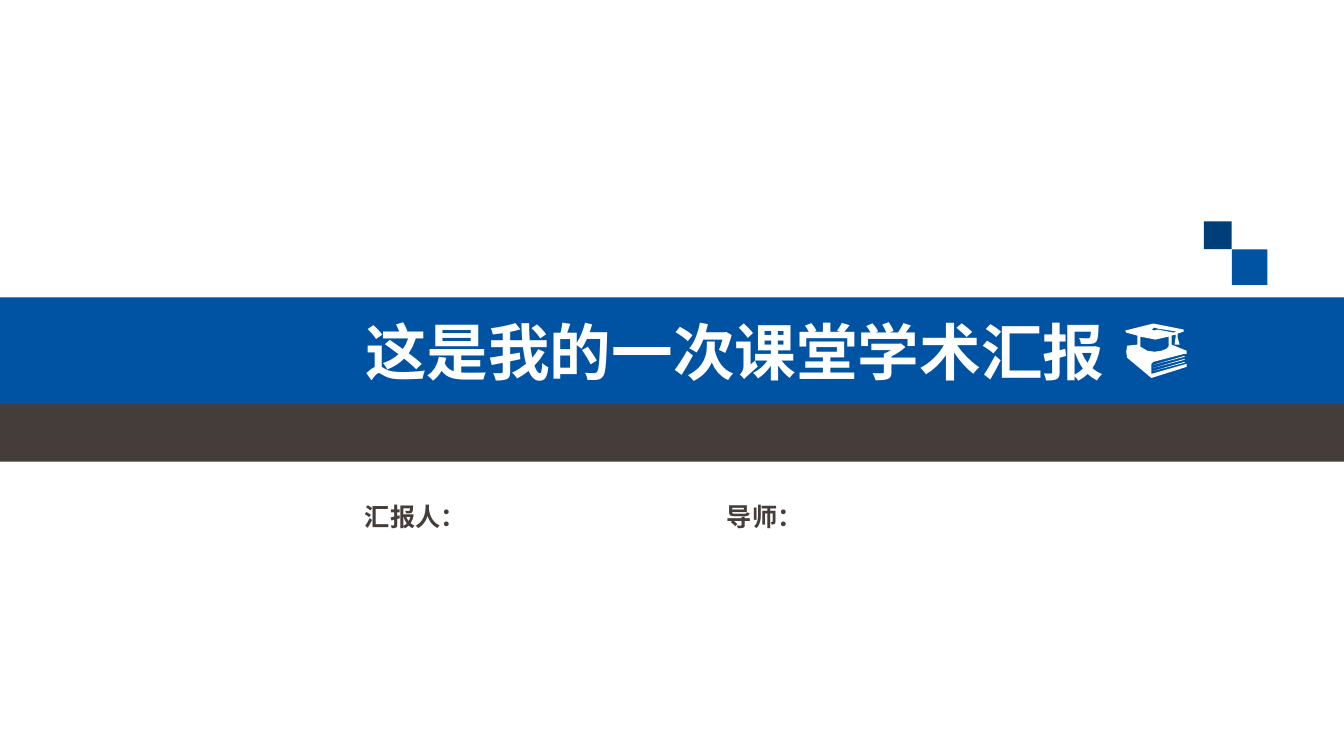
from dataclasses import dataclass

from pptx import Presentation, util as u
from pptx.dml.color import RGBColor
from pptx.enum import lang, shapes, text
from pptx.oxml.ns import qn
from lxml import etree

COLORS = {"blue": "0053A3", "navy": "003E7A", "brown": "453D3A", "white": "FFFFFF"}
FONT = "DejaVu Sans"

prs = Presentation()
prs.slide_width, prs.slide_height = u.Inches(13.33), u.Inches(7.5)
s = prs.slides.add_slide(prs.slide_layouts[5])


@dataclass
class Box:
    """Left, top, width and height in percent of the slide."""
    x: float
    y: float
    w: float
    h: float

    def place(self) -> dict:
        pw, ph = prs.slide_width / 100, prs.slide_height / 100
        return {"left": round(self.x * pw), "top": round(self.y * ph),
                "width": round(self.w * pw), "height": round(self.h * ph)}


@dataclass
class Block:
    box: Box
    color: str


@dataclass
class Label:
    box: Box
    words: str
    size: int
    color: str


def set_all(obj, values: dict) -> None:
    for name, value in values.items():
        setattr(obj, name, value)


def paint(sp, color: str) -> None:
    sp.shadow.inherit = False
    sp.fill.solid()
    sp.fill.fore_color.rgb = RGBColor.from_string(COLORS[color])
    sp.line.fill.background()


def draw_block(block: Block) -> None:
    sp = s.shapes.add_shape(shapes.MSO_SHAPE.RECTANGLE, **block.box.place())
    paint(sp, block.color)


def write_label(sp, label: Label) -> None:
    set_all(sp, label.box.place())
    tf = sp.text_frame
    set_all(tf, {"word_wrap": True, "vertical_anchor": text.MSO_ANCHOR.TOP,
                 "auto_size": text.MSO_AUTO_SIZE.SHAPE_TO_FIT_TEXT})
    p = tf.paragraphs[0]
    p.alignment = text.PP_ALIGN.LEFT
    r = p.add_run()
    r.text = label.words
    set_all(r.font, {"name": FONT, "size": u.Pt(label.size), "bold": True,
                     "language_id": lang.MSO_LANGUAGE_ID.SIMPLIFIED_CHINESE})
    r.font.color.rgb = RGBColor.from_string(COLORS[label.color])
    etree.SubElement(r.font._element, qn("a:ea"), typeface=FONT)


def draw_icon(x: float, y: float, contours: list) -> None:
    """Contours are in hundredths of an inch from the icon's corner."""
    fb = s.shapes.build_freeform(*contours[0][0], scale=u.Inches(0.01))
    for i, points in enumerate(contours):
        if i:
            fb.move_to(*points[0])
        fb.add_line_segments(points[1:], close=True)
    paint(fb.convert_to_shape(u.Inches(x), u.Inches(y)), "white")


# Bands
BLOCKS = [
    Block(Box(0, 53.47, 100, 7.6), "brown"),
    Block(Box(0, 39.33, 100, 14.14), "blue"),
    # Corner squares
    Block(Box(91.65, 32.97, 2.65, 4.71), "blue"),
    Block(Box(89.57, 29.27, 2.08, 3.7), "navy"),
]
for block in BLOCKS:
    draw_block(block)

# Title, brought in front of the bands
TITLE = Label(Box(26.41, 40.8, 67.97, 11.2), "这是我的一次课堂学术汇报", 44, "white")
title = s.shapes.title
title.element.getparent().append(title.element)
write_label(title, TITLE)

# Presenter and supervisor
LABELS = [
    Label(Box(26.41, 65.6, 25.13, 5.33), "汇报人：", 18, "brown"),
    Label(Box(53.34, 65.6, 14.25, 5.33), "导师：", 18, "brown"),
]
for label in LABELS:
    write_label(s.shapes.add_textbox(**label.box.place()), label)

# Graduation cap on a book
OUTLINE = [(52, 14), (54, 21), (49, 21), (50, 14), (50, 11), (46, 12), (46, 21),
           (61, 27), (61, 30), (59, 30), (28, 38), (26, 40), (26, 50), (61, 40),
           (61, 43), (26, 54), (2, 34), (1, 28), (2, 22), (12, 21), (12, 12),
           (1, 9), (0, 7), (28, 0), (58, 6), (58, 8), (52, 10)]
CAP_BASE = [(15, 13), (15, 23), (22, 27), (29, 28), (36, 27), (41, 25), (43, 23),
            (43, 13), (30, 16)]
BUTTON = [(48, 9), (51, 8), (32, 5), (29, 4), (26, 6), (29, 7), (32, 6)]
PAGES = [[(28, 41 + d), (59, 33 + d), (59, 32 + d)] for d in (0, 3, 6)]
draw_icon(11.16, 3.21, [OUTLINE, CAP_BASE, BUTTON, *PAGES])

prs.save("out.pptx")
